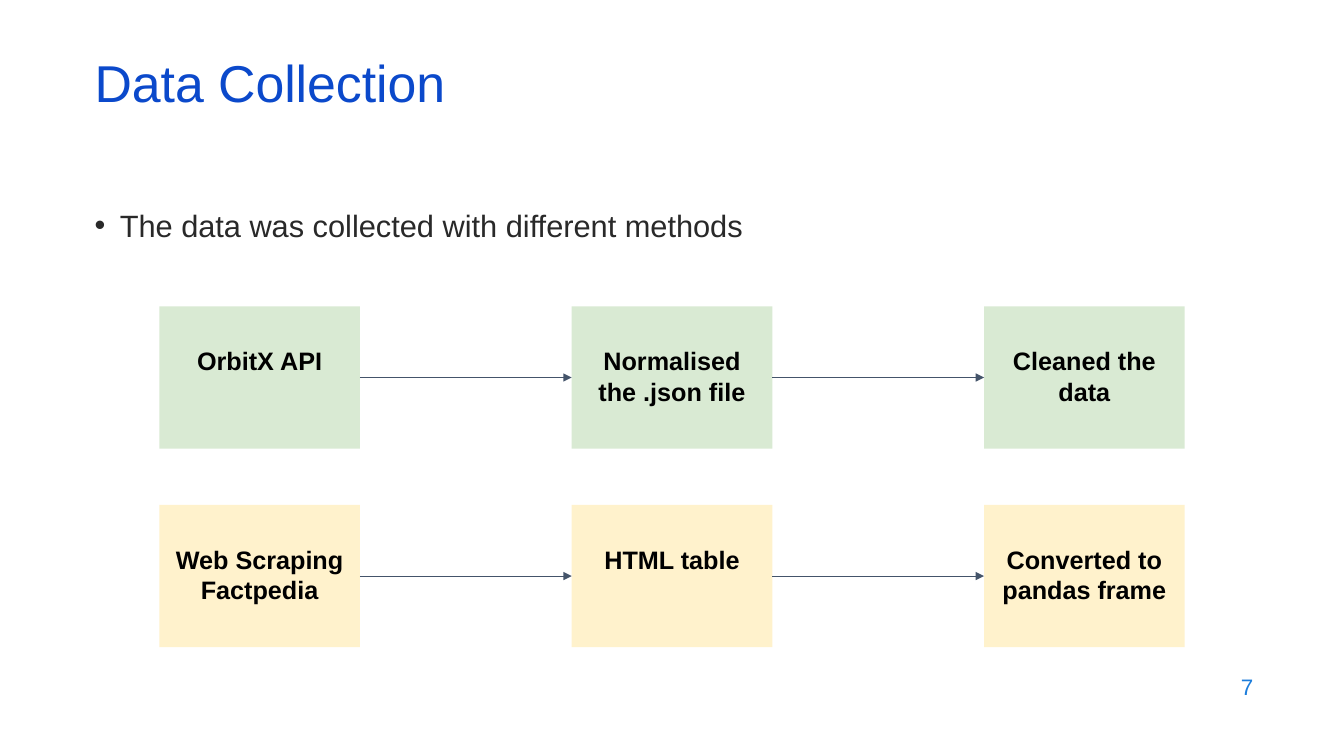
from dataclasses import dataclass
from typing import NamedTuple

from lxml import etree
from pptx import Presentation
from pptx import util as u
from pptx.dml.color import RGBColor
from pptx.enum import shapes, text
from pptx.oxml import ns


@dataclass(frozen=True)
class Theme:
    font: str = "Arial"
    title: str = "0B49CB"
    body: str = "292929"
    page: str = "1C7DDB"
    label: str = "000000"
    arrow: str = "44546A"
    green: str = "D9EAD3"
    cream: str = "FFF2CC"
    title_pt: int = 37
    body_pt: int = 22
    label_pt: int = 18
    page_pt: int = 16
    line_pt: float = 0.75


@dataclass(frozen=True)
class Grid:
    """Flow chart grid in inches: first cell, cell size and pitch."""
    left: float = 1.58
    top: float = 3.04
    wide: float = 1.99
    high: float = 1.41
    col: float = 4.09
    row: float = 1.97

    def x(self, col: int) -> float:
        return self.left + col * self.col

    def y(self, row: int) -> float:
        return self.top + row * self.row


class Area(NamedTuple):
    left: float
    top: float
    wide: float
    high: float


class Flow(NamedTuple):
    fill: str
    steps: tuple[str, ...]


THEME = Theme()
GRID = Grid()
TITLE = Area(0.84, 0.59, 11.5, 0.6)
BODY = Area(0.84, 2, 11.5, 4.76)
PAGE = Area(9.53, 6.59, 3, 0.44)
FLOWS = (
    Flow(THEME.green, ("OrbitX API", "Normalised the .json file", "Cleaned the data")),
    Flow(THEME.cream, ("Web Scraping Factpedia", "HTML table", "Converted to pandas frame")),
)


def inches(area: Area) -> list[u.Length]:
    return [u.Inches(part) for part in area]


def add_run(para, words: str, size: int, color: str, bold: bool = False) -> None:
    run = para.add_run()
    run.text = words
    run.font.name = THEME.font
    run.font.size = u.Pt(size)
    run.font.bold = bold
    run.font.color.rgb = RGBColor.from_string(color)


def add_text(slide, area: Area, words: str, size: int, color: str, middle: bool = True):
    """Add a one-line text box and return its paragraph."""
    frame = slide.shapes.add_textbox(*inches(area)).text_frame
    frame.word_wrap = True
    frame.vertical_anchor = text.MSO_ANCHOR.MIDDLE if middle else text.MSO_ANCHOR.TOP
    para = frame.paragraphs[0]
    add_run(para, words, size, color)
    return para


def add_bullet(para, color: str) -> None:
    props = para._p.get_or_add_pPr()
    props.set("marL", str(u.Inches(0.25)))
    props.set("indent", str(-u.Inches(0.25)))
    tint = etree.SubElement(props, ns.qn("a:buClr"))
    etree.SubElement(tint, ns.qn("a:srgbClr"), val=color)
    etree.SubElement(props, ns.qn("a:buFont"), typeface=THEME.font)
    etree.SubElement(props, ns.qn("a:buChar"), char="•")


def add_step(slide, col: int, row: int, words: str, fill: str) -> None:
    area = Area(GRID.x(col), GRID.y(row), GRID.wide, GRID.high)
    box = slide.shapes.add_shape(shapes.MSO_SHAPE.RECTANGLE, *inches(area))
    box.shadow.inherit = False
    box.fill.solid()
    box.fill.fore_color.rgb = RGBColor.from_string(fill)
    box.line.fill.background()
    frame = box.text_frame
    frame.word_wrap = True
    frame.vertical_anchor = text.MSO_ANCHOR.TOP
    frame.margin_left = frame.margin_right = frame.margin_bottom = u.Inches(0.1)
    frame.margin_top = u.Inches(0.39)
    para = frame.paragraphs[0]
    para.alignment = text.PP_ALIGN.CENTER
    add_run(para, words, THEME.label_pt, THEME.label, bold=True)


def add_arrow(slide, col: int, row: int) -> None:
    """Link the step in this column to the next one."""
    mid = u.Inches(GRID.y(row) + GRID.high / 2)
    start, end = u.Inches(GRID.x(col) + GRID.wide), u.Inches(GRID.x(col + 1))
    link = slide.shapes.add_connector(shapes.MSO_CONNECTOR.STRAIGHT, start, mid, end, mid)
    link.line.color.rgb = RGBColor.from_string(THEME.arrow)
    link.line.width = u.Pt(THEME.line_pt)
    etree.SubElement(link.line._get_or_add_ln(), ns.qn("a:tailEnd"), type="triangle")
    etree.SubElement(link._element.spPr, ns.qn("a:effectLst"))


def main() -> None:
    deck = Presentation()
    deck.slide_width, deck.slide_height = u.Inches(13.33), u.Inches(7.5)
    slide = deck.slides.add_slide(deck.slide_layouts[6])

    page = add_text(slide, PAGE, "7", THEME.page_pt, THEME.page)
    page.alignment = text.PP_ALIGN.RIGHT
    point = add_text(slide, BODY, "The data was collected with different methods",
                     THEME.body_pt, THEME.body, middle=False)
    add_bullet(point, THEME.body)
    title = add_text(slide, TITLE, "Data Collection", THEME.title_pt, THEME.title)
    title.line_spacing = 0.7

    for row, flow in enumerate(FLOWS):
        for col, words in enumerate(flow.steps):
            add_step(slide, col, row, words, flow.fill)
        for col in range(len(flow.steps) - 1):
            add_arrow(slide, col, row)

    deck.save("out.pptx")


if __name__ == "__main__":
    main()
